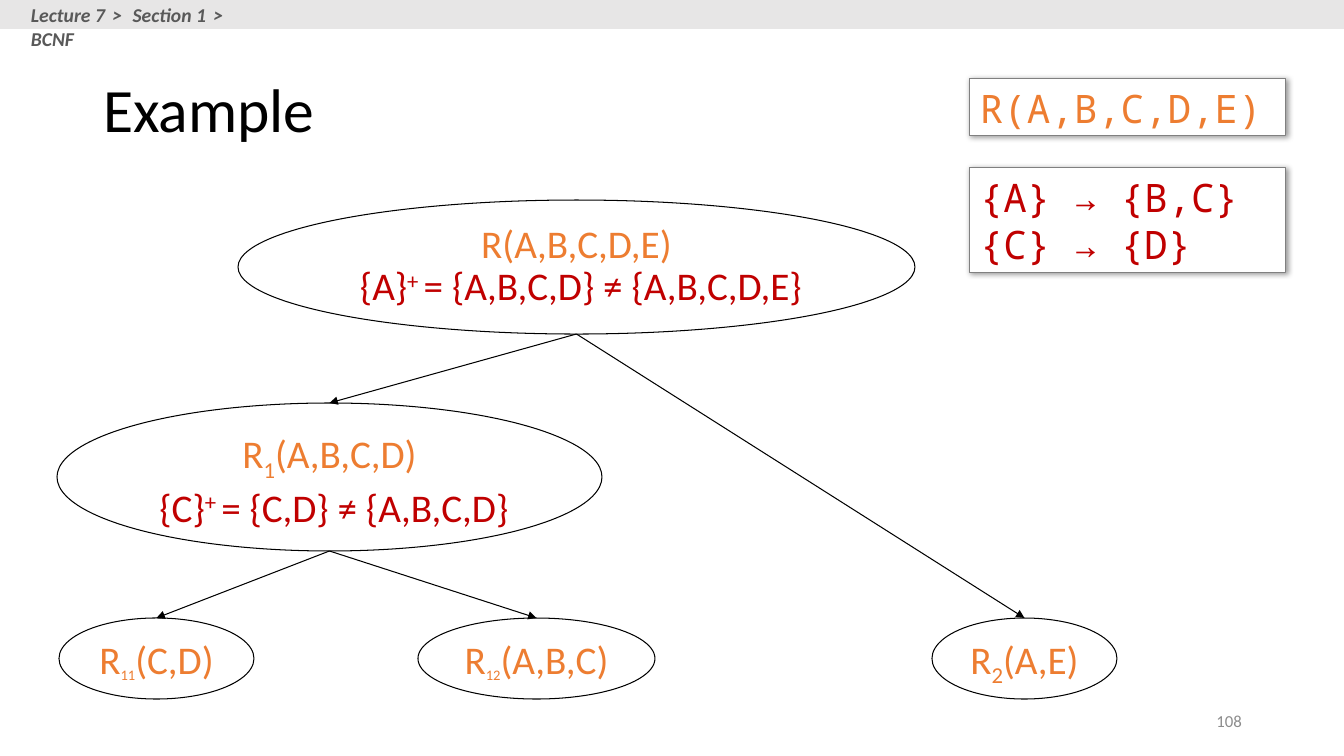
from collections import namedtuple

from lxml.etree import SubElement
from pptx import Presentation
from pptx.dml.color import RGBColor
from pptx.enum.shapes import MSO_CONNECTOR, MSO_SHAPE
from pptx.enum.text import MSO_ANCHOR, PP_ALIGN
from pptx.oxml.ns import qn
from pptx.util import Emu, Pt

SLIDE_W, SLIDE_H = 1344, 756
BODY_FONT, CODE_FONT = "Calibri", "Noto Sans Mono"
BLACK, WHITE, ORANGE, RED = "000000", "FFFFFF", "ED7D31", "C00000"
SUB, SUPER = -25, 30

Box = namedtuple("Box", "left top width height")
Piece = namedtuple("Piece", "text color size baseline", defaults=(ORANGE, 28, 0))


def px(length):
    return Emu(round(length * 914400 / 100.8))


def place(box):
    return [px(length) for length in box]


def rgb(color):
    return RGBColor.from_string(color)


def add_run(paragraph, text, size, color, font=BODY_FONT):
    run = paragraph.add_run()
    run.text = text
    run.font.size = Pt(size)
    run.font.name = font
    run.font.color.rgb = rgb(color)
    return run


def add_panel(slide, kind, box, fill=None, line=None):
    """Add a preset shape with top-anchored text and no shadow."""
    panel = slide.shapes.add_shape(kind, *place(box))
    panel.shadow.inherit = False
    if fill:
        panel.fill.solid()
        panel.fill.fore_color.rgb = rgb(fill)
    else:
        panel.fill.background()
    if line:
        panel.line.color.rgb = rgb(line)
        panel.line.width = Pt(0.75)
    else:
        panel.line.fill.background()
    panel.text_frame.vertical_anchor = MSO_ANCHOR.TOP
    return panel


def add_title(slide, box, text):
    title = slide.shapes.title
    title.left, title.top, title.width, title.height = place(box)
    title.text_frame.vertical_anchor = MSO_ANCHOR.MIDDLE
    paragraph = title.text_frame.paragraphs[0]
    paragraph.alignment = PP_ALIGN.LEFT
    paragraph.line_spacing = 0.9
    add_run(paragraph, text, 44, BLACK)


def add_relation(slide, box, lines, line_spacing=1.0):
    """Add a tree node; each line is a list of pieces."""
    node = add_panel(slide, MSO_SHAPE.OVAL, box, line=BLACK)
    node.text_frame.word_wrap = False
    paragraph = node.text_frame.paragraphs[0]
    paragraph.alignment = PP_ALIGN.CENTER
    paragraph.line_spacing = line_spacing
    for number, pieces in enumerate(lines):
        if number:
            paragraph.add_line_break()
        for piece in pieces:
            run = add_run(paragraph, piece.text, piece.size, piece.color)
            if piece.baseline:
                run.font._element.set("baseline", str(piece.baseline * 1000))


def add_branch(slide, parent, child):
    """Draw an arrow from the bottom of the parent to the top of the child."""
    branch = slide.shapes.add_connector(
        MSO_CONNECTOR.STRAIGHT,
        px(parent.left + parent.width / 2), px(parent.top + parent.height),
        px(child.left + child.width / 2), px(child.top))
    branch.line.color.rgb = rgb(BLACK)
    branch.line.width = Pt(0.75)
    SubElement(branch.line._get_or_add_ln(), qn("a:tailEnd"), type="triangle")
    SubElement(branch._element.spPr, qn("a:effectLst"))


def add_decomposition(slide, area):
    """Draw the tree of relations inside the area."""
    def within(left, top, width, height):
        return Box(area.left + left, area.top + top, width, height)

    leaf_top, leaf_height = 418, 81
    root = within(181, 0, 677, 134)
    r1 = within(0, 203, 545, 148)
    r2 = within(875, leaf_top, 185, leaf_height)
    r11 = within(2, leaf_top, 195, leaf_height)
    r12 = within(361, leaf_top, 237, leaf_height)

    add_relation(slide, root, [
        [Piece("R(A,B,C,D,E)")],
        [Piece(" {A}", RED), Piece("+ ", RED, baseline=SUPER),
         Piece("= {A,B,C,D} ≠ {A,B,C,D,E}", RED)]], line_spacing=0.9)
    add_relation(slide, r1, [
        [Piece("R"), Piece("1", baseline=SUB), Piece("(A,B,C,D)")],
        [Piece(" {C}", RED), Piece("+ ", RED, baseline=SUPER),
         Piece("= {C,D} ≠ {A,B,C,D}", RED)]])
    for leaf, index, index_size, attributes in (
            (r2, "2", 28, "(A,E)"),
            (r11, "11", 18, "(C,D)"),
            (r12, "12", 18, "(A,B,C)")):
        add_relation(slide, leaf, [
            [Piece("R"), Piece(index, size=index_size, baseline=SUB),
             Piece(attributes)]])
    for parent, child in ((root, r1), (root, r2), (r1, r11), (r1, r12)):
        add_branch(slide, parent, child)


def add_code_card(slide, box, lines, color):
    card = add_panel(slide, MSO_SHAPE.RECTANGLE, box, WHITE, "808080")
    effects = card._element.spPr.find(qn("a:effectLst"))
    shadow = SubElement(effects, qn("a:outerShdw"), blurRad=str(Pt(4)),
                        dist=str(Pt(1)), dir="2700000", algn="tl",
                        rotWithShape="0")
    shade = SubElement(shadow, qn("a:srgbClr"), val=BLACK)
    SubElement(shade, qn("a:alpha"), val="40000")
    frame = card.text_frame
    frame.word_wrap = True
    for number, line in enumerate(lines):
        paragraph = frame.add_paragraph() if number else frame.paragraphs[0]
        paragraph.alignment = PP_ALIGN.LEFT
        add_run(paragraph, line, 28, color, CODE_FONT)


def add_header(slide, bar, trail):
    """Add the grey bar with the breadcrumb trail over it."""
    add_panel(slide, MSO_SHAPE.RECTANGLE, bar, "E7E6E6")
    crumbs = slide.shapes.add_textbox(
        *place(Box(bar.left + 21, bar.top - 2, 263, 34)))
    crumbs.text_frame.word_wrap = True
    paragraph = crumbs.text_frame.paragraphs[0]
    for number, step in enumerate(trail):
        for text in ([" > ", step] if number else [step]):
            run = add_run(paragraph, text, 14, "595959")
            run.font.bold = run.font.italic = True
            if text == " > ":
                run.font._element.set("spc", "210")


def add_page_number(slide, box, number):
    frame = slide.shapes.add_textbox(*place(box)).text_frame
    frame.word_wrap = True
    frame.vertical_anchor = MSO_ANCHOR.MIDDLE
    paragraph = frame.paragraphs[0]
    paragraph.alignment = PP_ALIGN.RIGHT
    add_run(paragraph, number, 12, "8C8C8C")


def main():
    deck = Presentation()
    deck.slide_width, deck.slide_height = px(SLIDE_W), px(SLIDE_H)
    slide = deck.slides.add_slide(deck.slide_layouts[5])
    add_page_number(slide, Box(950, 701, 302, 40), "108")
    add_title(slide, Box(93, 40, 1159, 146), "Example")
    add_decomposition(slide, Box(57, 200, 1060, 499))
    add_code_card(slide, Box(970, 79, 316, 57), ["R(A,B,C,D,E)"], ORANGE)
    add_code_card(slide, Box(970, 168, 316, 105),
                  ["{A} → {B,C}", "{C} → {D}"], RED)
    add_header(slide, Box(0, 0, SLIDE_W, 29),
               ["Lecture 7", "Section 1", "BCNF"])
    deck.save("out.pptx")


if __name__ == "__main__":
    main()
